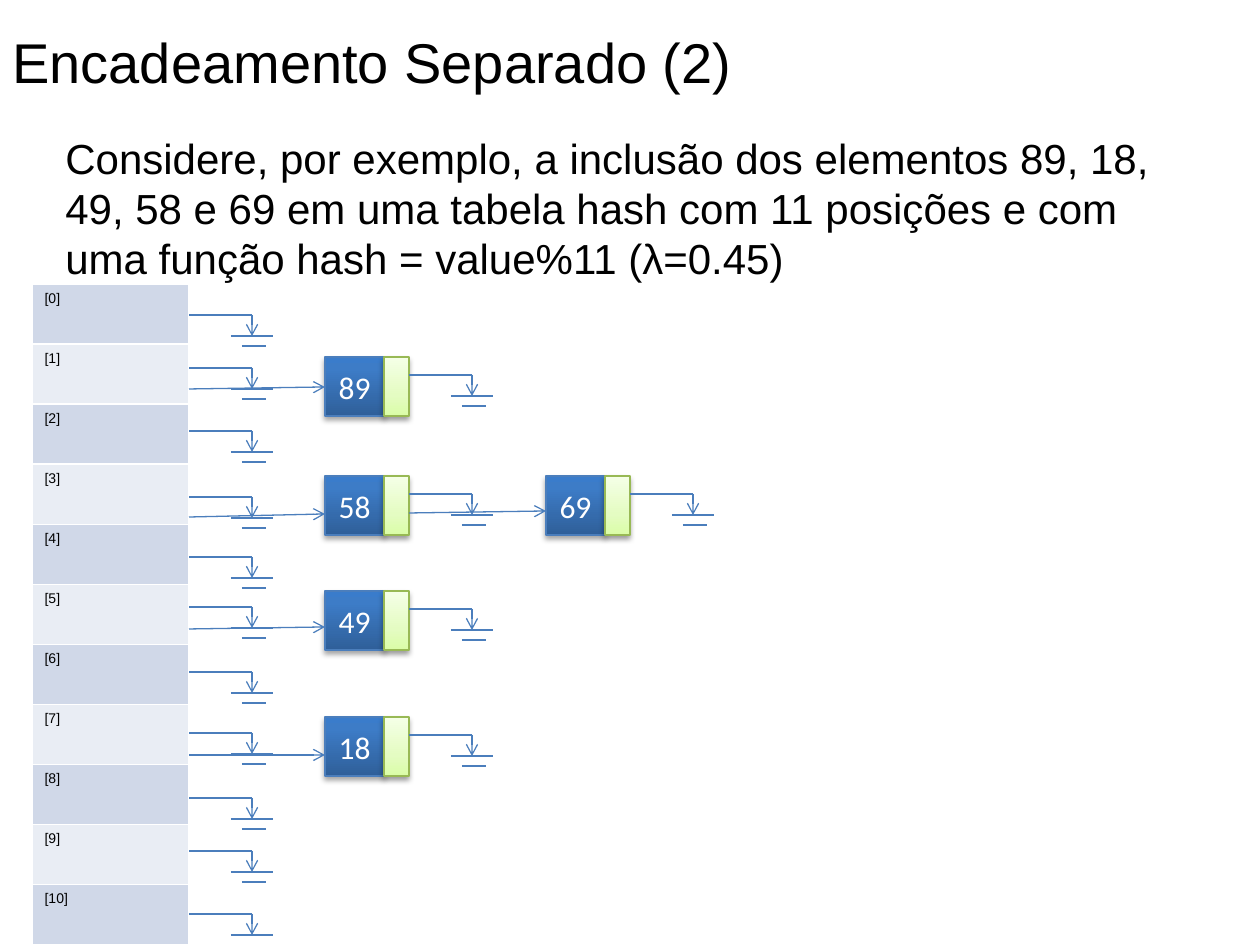
import copy
import dataclasses

import lxml.etree
import pptx
import pptx.dml.color
import pptx.enum.shapes
import pptx.enum.text
import pptx.oxml.ns
import pptx.util

RGB = pptx.dml.color.RGBColor
BLACK = RGB(0x00, 0x00, 0x00)
WHITE = RGB(0xFF, 0xFF, 0xFF)
BLUE = RGB(0x4B, 0x7E, 0xBC)
GREEN = RGB(0x98, 0xB9, 0x55)
BANDS = (RGB(0xD0, 0xD8, 0xE8), RGB(0xE9, 0xED, 0xF4))
DEEP = (
    (0, RGB(0x2F, 0x5F, 0x99)),
    (0.8, RGB(0x3D, 0x7C, 0xC7)),
    (1, RGB(0x3A, 0x7C, 0xCB)),
)
PALE = (
    (0, RGB(0xDA, 0xFD, 0xA7)),
    (0.35, RGB(0xE4, 0xFC, 0xC2)),
    (1, RGB(0xF5, 0xFF, 0xE7)),
)
SCALE = 914400 / 126
ROWS = 11
EDGE = 189


@dataclasses.dataclass
class Node:
    x: int
    y: int
    text: str


@dataclasses.dataclass
class Link:
    x1: int
    y1: int
    x2: int
    y2: int


NODES = (
    Node(325, 357, "89"),
    Node(325, 717, "18"),
    Node(325, 591, "49"),
    Node(325, 476, "58"),
    Node(546, 476, "69"),
)
LINKS = (
    Link(EDGE, 389, 325, 387),
    Link(EDGE, 755, 325, 755),
    Link(EDGE, 629, 325, 627),
    Link(EDGE, 517, 325, 514),
    Link(409, 513, 546, 511),
)
ENDS = (315, 368, 431, 497, 557, 607, 672, 733, 798, 851, 914)


def px(n: int) -> pptx.util.Emu:
    return pptx.util.Emu(round(n * SCALE))


def sub(node, tag: str, **attrs: str):
    return lxml.etree.SubElement(node, pptx.oxml.ns.qn(tag), **attrs)


def style(frame, size: int, face: str, color: RGB) -> None:
    for run in frame.paragraphs[0].runs:
        run.font.size = pptx.util.Pt(size)
        run.font.name = face
        run.font.color.rgb = color


def label(x: int, y: int, w: int, h: int, text: str, size: int, wrap: bool) -> None:
    frame = slide.shapes.add_textbox(px(x), px(y), px(w), px(h)).text_frame
    frame.word_wrap = wrap
    frame.text = text
    style(frame, size, "Arial", BLACK)


def line(x1: int, y1: int, x2: int, y2: int, arrow: bool = False) -> None:
    kind = pptx.enum.shapes.MSO_CONNECTOR.STRAIGHT
    item = slide.shapes.add_connector(kind, px(x1), px(y1), px(x2), px(y2))
    item.line.color.rgb = BLUE
    item.line.width = pptx.util.Pt(0.75)
    if arrow:
        sub(item.line._get_or_add_ln(), "a:tailEnd", type="arrow")
    sub(item._element.spPr, "a:effectLst")


def ground(x: int, y: int) -> None:
    line(x, y, x + 63, y)
    line(x + 63, y, x + 63, y + 21, True)
    line(x + 42, y + 21, x + 84, y + 21)
    if y + 31 < 945:
        line(x + 53, y + 31, x + 77, y + 31)


def box(x: int, y: int, w: int, stops: tuple, edge: RGB, alpha: int):
    kind = pptx.enum.shapes.MSO_SHAPE.RECTANGLE
    item = slide.shapes.add_shape(kind, px(x), px(y), px(w), px(59))
    item.fill.gradient()
    item.fill.gradient_angle = 90
    root = item._element.spPr.find(".//" + pptx.oxml.ns.qn("a:gsLst"))
    root.append(copy.deepcopy(root[0]))
    for stop, (pos, color) in zip(item.fill.gradient_stops, stops):
        stop.position = pos
        stop.color.rgb = color
    item.line.color.rgb = edge
    item.line.width = pptx.util.Pt(0.75)
    item.shadow.inherit = False
    root = item._element.spPr.find(pptx.oxml.ns.qn("a:effectLst"))
    shade = sub(root, "a:outerShdw", blurRad="39370", dist="22860",
                dir="5400000", rotWithShape="0")
    tone = sub(shade, "a:srgbClr", val="000000")
    sub(tone, "a:alpha", val=str(alpha * 1000))
    return item


def cell_edges(cell) -> None:
    root = cell._tc.get_or_add_tcPr()
    for spot, side in enumerate(("L", "R", "T", "B")):
        edge = sub(root, "a:ln" + side, w="12700")
        fill = sub(edge, "a:solidFill")
        sub(fill, "a:srgbClr", val=str(WHITE))
        root.insert(spot, edge)


def table() -> None:
    grid = slide.shapes.add_table(ROWS, 1, px(32), px(284), px(157), px(661)).table
    grid.first_row = False
    grid.horz_banding = False
    for num, row in enumerate(grid.rows):
        row.height = px(661) // ROWS
        cell = row.cells[0]
        cell.fill.solid()
        cell.fill.fore_color.rgb = BANDS[num % 2]
        cell.text_frame.text = f"[{num}]"
        style(cell.text_frame, 8, "Arial", BLACK)
        cell_edges(cell)


def draw(node: Node) -> None:
    item = box(node.x, node.y, 59, DEEP, BLUE, 35)
    frame = item.text_frame
    frame.text = node.text
    frame.vertical_anchor = pptx.enum.text.MSO_ANCHOR.MIDDLE
    frame.paragraphs[0].alignment = pptx.enum.text.PP_ALIGN.CENTER
    style(frame, 18, "Calibri", WHITE)
    box(node.x + 59, node.y, 25, PALE, GREEN, 38)
    ground(node.x + 84, node.y + 18)


deck = pptx.Presentation()
deck.slide_width = px(1260)
deck.slide_height = px(945)
slide = deck.slides.add_slide(deck.slide_layouts[6])

label(0, 21, 750, 81, "Encadeamento Separado (2)", 32, False)
label(53, 126, 1134, 165,
      "Considere, por exemplo, a inclusão dos elementos 89, 18, 49, 58 e 69 "
      "em uma tabela hash com 11 posições e com uma função hash = value%11 "
      "(λ=0.45)", 24, True)
table()
for y in ENDS:
    ground(EDGE, y)
for node in NODES:
    draw(node)
for link in LINKS:
    line(link.x1, link.y1, link.x2, link.y2, True)

deck.save("out.pptx")
